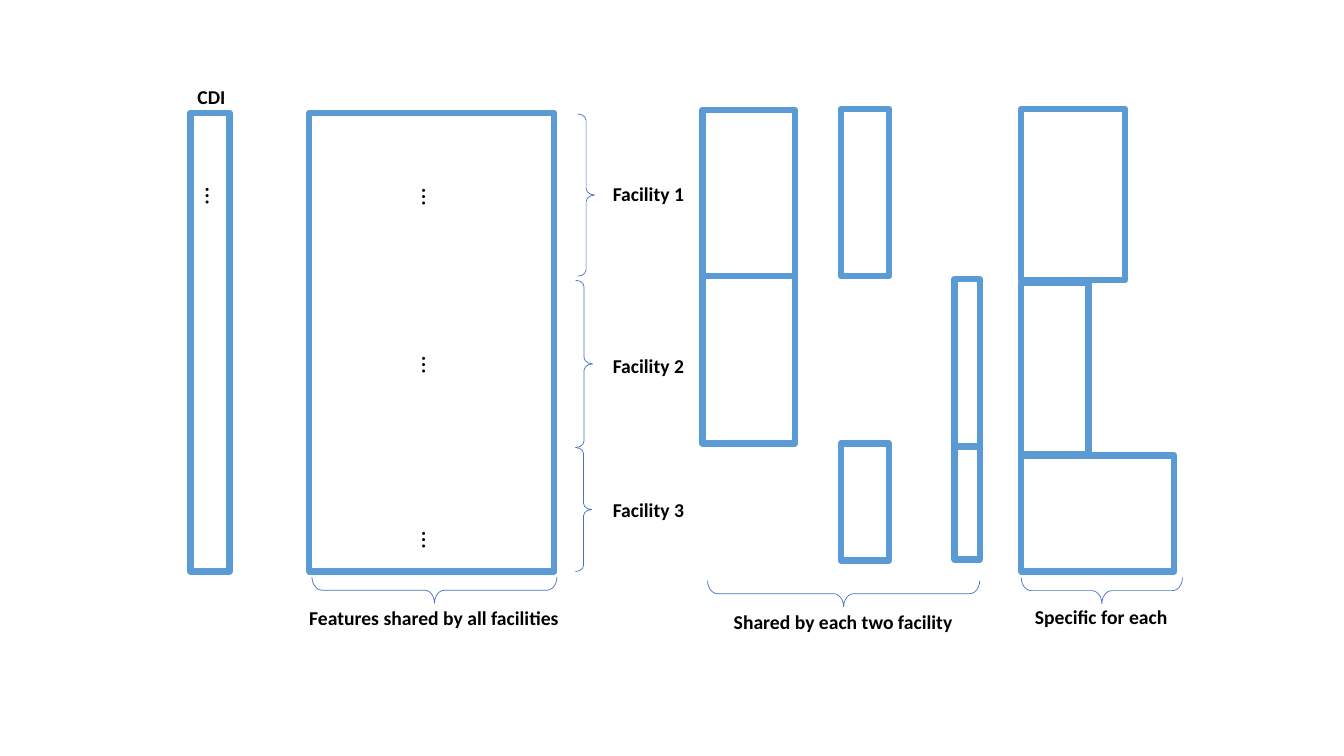
from pptx import Presentation
from pptx.dml.color import RGBColor
from pptx.enum.shapes import MSO_SHAPE
from pptx.enum.text import MSO_ANCHOR, MSO_AUTO_SIZE
from pptx.util import Pt

THEME = {
    "font": "Calibri",
    "label": 14,
    "dots": 18,
    "text": RGBColor(0, 0, 0),
    "block_fill": RGBColor(255, 255, 255),
    "block_line": RGBColor(0x5B, 0x9B, 0xD5),
    "brace_line": RGBColor(0x44, 0x72, 0xC4),
    "block_weight": 4.5,
    "brace_weight": 0.5,
}
BRACE_DEPTH = 18.7
DOTS_SIZE = (27.4, 28.8)
LABEL_HEIGHT = 24.2

BLOCK_GROUPS = [
    {"left": 136, "blocks": [(80.6, 28, 327.6)], "dots": [(140.4, 126)]},
    {"left": 221, "blocks": [(80.6, 175, 327.6)],
     "dots": [(295.2, 126.7), (295.2, 247), (295.2, 372.2)]},
    {"left": 501.8, "blocks": [(78.5, 66.2, 119.5), (197.3, 66.2, 119.5)]},
    {"left": 600.5, "blocks": [(77.8, 34.6, 119.5), (316.8, 34.6, 83.5)]},
    {"left": 681.8, "blocks": [(199.4, 18, 119.5), (319, 18, 80.6)]},
    {"left": 729.4, "blocks": [(325.4, 109.4, 82.8), (202.3, 48.2, 122.4), (77.8, 74.2, 122.4)]},
]
FACILITY_BRACES = [
    (412.6, 81.4, 12.2, 115.9),
    (411.1, 200.2, 12.2, 119.5),
    (411.1, 319.7, 11.5, 88.6),
]
FEATURE_BRACES = [(310.3, 421.6, 175), (602.6, 424.1, 194.4), (787, 421.9, 115.2)]
LABELS = [
    ("CDI", 133.9, 56.9, 34.6),
    ("Facility 1", 430.6, 126.7, 66.2),
    ("Facility 2", 430.6, 249.5, 66.2),
    ("Facility 3", 430.6, 352.1, 66.2),
    ("Features shared by all facilities", 213.8, 429.1, 194.4),
    ("Shared by each two facility", 517, 432, 172.1),
    ("Specific for each", 732.2, 428.4, 110.2),
]


def add_text(canvas, text, left, top, width, height, *, size, bold=False, rotation=0):
    """Add one unwrapped line of text."""
    box = canvas.add_textbox(Pt(left), Pt(top), Pt(width), Pt(height))
    box.rotation = rotation
    frame = box.text_frame
    frame.word_wrap = False
    frame.auto_size = MSO_AUTO_SIZE.SHAPE_TO_FIT_TEXT
    frame.vertical_anchor = MSO_ANCHOR.TOP
    span = frame.paragraphs[0].add_run()
    span.text = text
    span.font.name = THEME["font"]
    span.font.size = Pt(size)
    span.font.bold = bold
    span.font.color.rgb = THEME["text"]


def add_outline(canvas, kind, left, top, width, height, color, weight):
    """Add a preset shape with a coloured outline."""
    shape = canvas.add_shape(kind, Pt(left), Pt(top), Pt(width), Pt(height))
    shape.shadow.inherit = False
    shape.line.color.rgb = color
    shape.line.width = Pt(weight)
    return shape


def add_block(canvas, left, top, width, height):
    """Add a white data block."""
    block = add_outline(canvas, MSO_SHAPE.RECTANGLE, left, top, width, height,
                        THEME["block_line"], THEME["block_weight"])
    block.fill.solid()
    block.fill.fore_color.rgb = THEME["block_fill"]


def add_brace(canvas, left, top, width, height, rotation=0):
    """Add a thin right brace."""
    brace = add_outline(canvas, MSO_SHAPE.RIGHT_BRACE, left, top, width, height,
                        THEME["brace_line"], THEME["brace_weight"])
    brace.fill.background()
    brace.adjustments[0] = 0.382
    brace.rotation = rotation


def main():
    """Build the facility feature diagram."""
    deck = Presentation()
    deck.slide_width, deck.slide_height = Pt(960), Pt(540)
    page = deck.slides.add_slide(deck.slide_layouts[6])
    for group in BLOCK_GROUPS:
        canvas = page.shapes.add_group_shape().shapes
        for top, width, height in group["blocks"]:
            add_block(canvas, group["left"], top, width, height)
        for left, top in group.get("dots", []):
            add_text(canvas, "…", left, top, *DOTS_SIZE, size=THEME["dots"], rotation=90)
    for bounds in FACILITY_BRACES:
        add_brace(page.shapes, *bounds)
    for center, middle, length in FEATURE_BRACES:
        add_brace(page.shapes, center - BRACE_DEPTH / 2, middle - length / 2,
                  BRACE_DEPTH, length, rotation=90)
    for text, left, top, width in LABELS:
        add_text(page.shapes, text, left, top, width, LABEL_HEIGHT,
                 size=THEME["label"], bold=True)
    deck.save("out.pptx")


if __name__ == "__main__":
    main()
